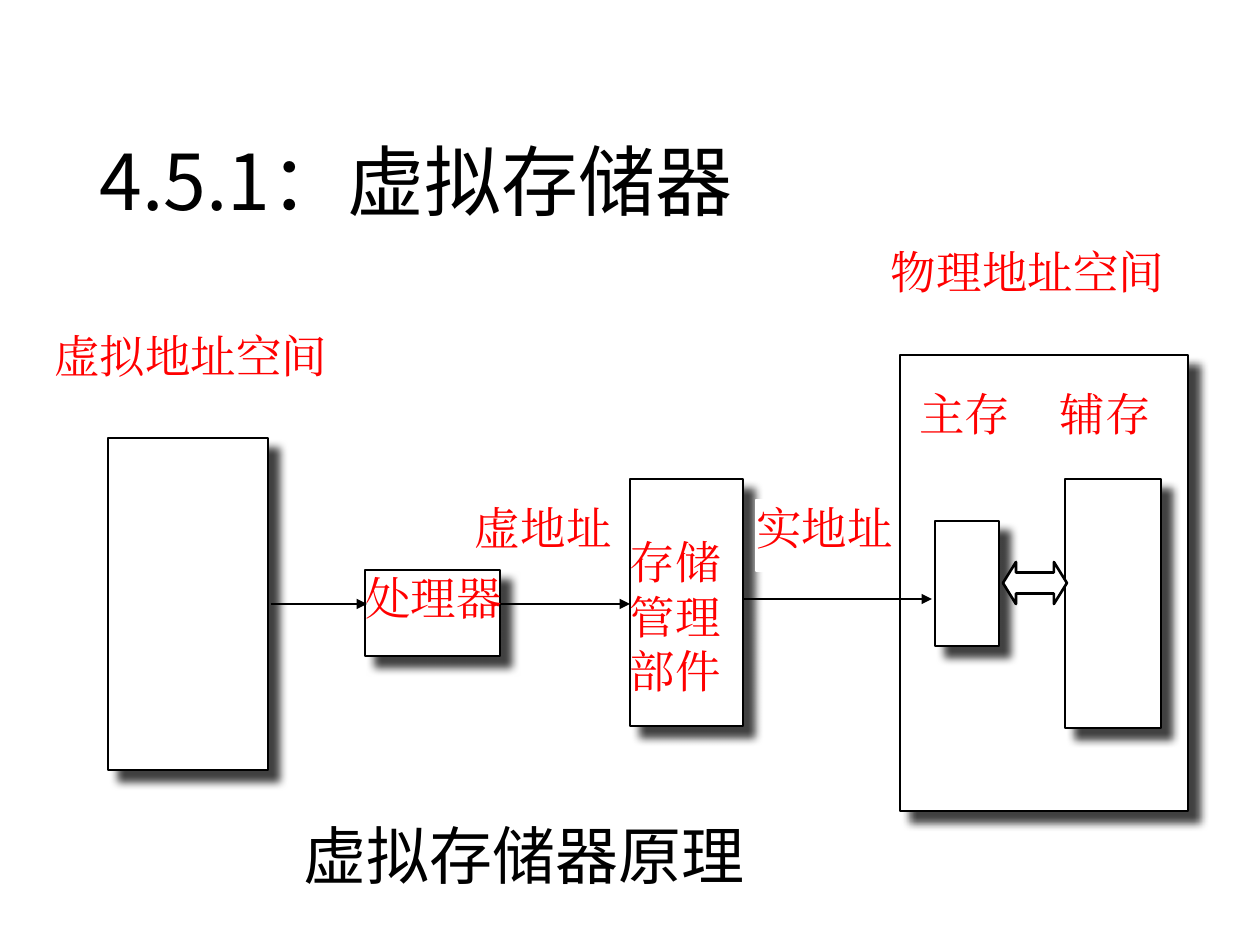
from lxml import etree
from pptx import Presentation, util as u
from pptx.dml.color import RGBColor
from pptx.enum import lang, shapes, text
from pptx.oxml import parse_xml
from pptx.oxml.ns import nsdecls, qn

PX = 914400 / 126
BLACK = RGBColor(0, 0, 0)
WHITE = RGBColor(255, 255, 255)
RED = RGBColor(255, 0, 0)
SANS = "Noto Sans CJK SC"
SERIF = "Times New Roman"
SHADOW = (
    f'<a:effectLst {nsdecls("a")}>'
    f'<a:outerShdw blurRad="{u.Pt(5)}" dist="{u.Pt(8.5)}" dir="2700000" algn="ctr" rotWithShape="0">'
    '<a:srgbClr val="000000"><a:alpha val="75000"/></a:srgbClr>'
    '</a:outerShdw></a:effectLst>'
)


def px(*lengths):
    return [u.Emu(round(n * PX)) for n in lengths]


def add_run(p, words, size, font, color):
    p.alignment = text.PP_ALIGN.LEFT
    r = p.add_run()
    r.text = words
    r.font.size = u.Pt(size)
    r.font.name = font
    r.font.color.rgb = color
    r.font.language_id = lang.MSO_LANGUAGE_ID.SIMPLIFIED_CHINESE
    east_asian = etree.Element(qn("a:ea"), typeface=font)
    r.font._element.find(qn("a:latin")).addnext(east_asian)


def add_block(s, box, lines=(), line_color=BLACK, wrap=True, inset_top=0,
              kind=shapes.MSO_SHAPE.RECTANGLE):
    """Add a white shape with red text lines set from its top left corner."""
    sp = s.shapes.add_shape(kind, *px(*box))
    sp.shadow.inherit = False
    sp.fill.solid()
    sp.fill.fore_color.rgb = WHITE
    sp.line.color.rgb = line_color
    sp.line.width = u.Pt(1.5)
    tf = sp.text_frame
    tf.margin_left = tf.margin_right = tf.margin_bottom = 0
    tf.margin_top, = px(inset_top)
    tf.word_wrap = wrap
    tf.vertical_anchor = text.MSO_ANCHOR.TOP
    for i, words in enumerate(lines):
        p = tf.add_paragraph() if i else tf.paragraphs[0]
        add_run(p, words, 26, SERIF, RED)
    return sp


def add_shadowed_block(s, box, *lines, **options):
    sp = add_block(s, box, lines, **options)
    effects = sp._element.spPr.find(qn("a:effectLst"))
    effects.getparent().replace(effects, parse_xml(SHADOW))


def add_label(s, box, words, wrap=True):
    add_block(s, box, [words], line_color=WHITE, wrap=wrap)


def add_arrow(s, x1, x2, y, width=1.5):
    c = s.shapes.add_connector(shapes.MSO_CONNECTOR.STRAIGHT, *px(x1, y, x2, y))
    c.line.color.rgb = BLACK
    c.line.width = u.Pt(width)
    etree.SubElement(c.line._get_or_add_ln(), qn("a:tailEnd"), type="triangle")
    etree.SubElement(c._element.spPr, qn("a:effectLst"))


def add_title(s, words):
    sp = s.shapes.title
    sp.left, sp.top, sp.width, sp.height = px(87, 50, 1086, 183)
    tf = sp.text_frame
    tf.auto_size = text.MSO_AUTO_SIZE.NONE
    tf.vertical_anchor = text.MSO_ANCHOR.BOTTOM
    tf.paragraphs[0].line_spacing = 0.9
    add_run(tf.paragraphs[0], words, 44, SANS, BLACK)


def add_caption(s, box, words):
    tf = s.shapes.add_textbox(*px(*box)).text_frame
    tf.word_wrap = False
    tf.auto_size = text.MSO_AUTO_SIZE.SHAPE_TO_FIT_TEXT
    add_run(tf.paragraphs[0], words, 36, SANS, BLACK)


def main():
    prs = Presentation()
    prs.slide_width, prs.slide_height = px(1260, 945)
    s = prs.slides.add_slide(prs.slide_layouts[5])
    add_title(s, "4.5.1：虚拟存储器")

    # Virtual and physical address spaces
    add_shadowed_block(s, (108, 438, 160, 332))
    add_shadowed_block(s, (900, 355, 288, 456))
    add_label(s, (54, 328, 298, 87), "虚拟地址空间")

    # Processor and memory management unit
    add_shadowed_block(s, (365, 570, 135, 86), "处理器", wrap=False)
    add_label(s, (475, 500, 145, 63), "虚地址")
    add_arrow(s, 271, 367, 604)
    add_arrow(s, 501, 630, 604)
    add_shadowed_block(s, (630, 479, 113, 247), "存储", "管理", "部件", inset_top=55)
    add_label(s, (756, 500, 135, 71), "实地址", wrap=False)

    # Main and auxiliary memory
    add_shadowed_block(s, (935, 521, 64, 125))
    add_shadowed_block(s, (1065, 479, 96, 249))
    exchange = add_block(s, (1003, 562, 64, 42), kind=shapes.MSO_SHAPE.LEFT_RIGHT_ARROW)
    exchange.adjustments[0] = 0.5
    exchange.adjustments[1] = 0.31
    add_label(s, (919, 386, 94, 71), "主存")
    add_label(s, (1060, 386, 101, 76), "辅存")
    add_label(s, (891, 244, 284, 86), "物理地址空间")
    add_arrow(s, 743, 932, 599, width=0.75)

    add_caption(s, (291, 810, 466, 88), "虚拟存储器原理")
    prs.save("out.pptx")


if __name__ == "__main__":
    main()
